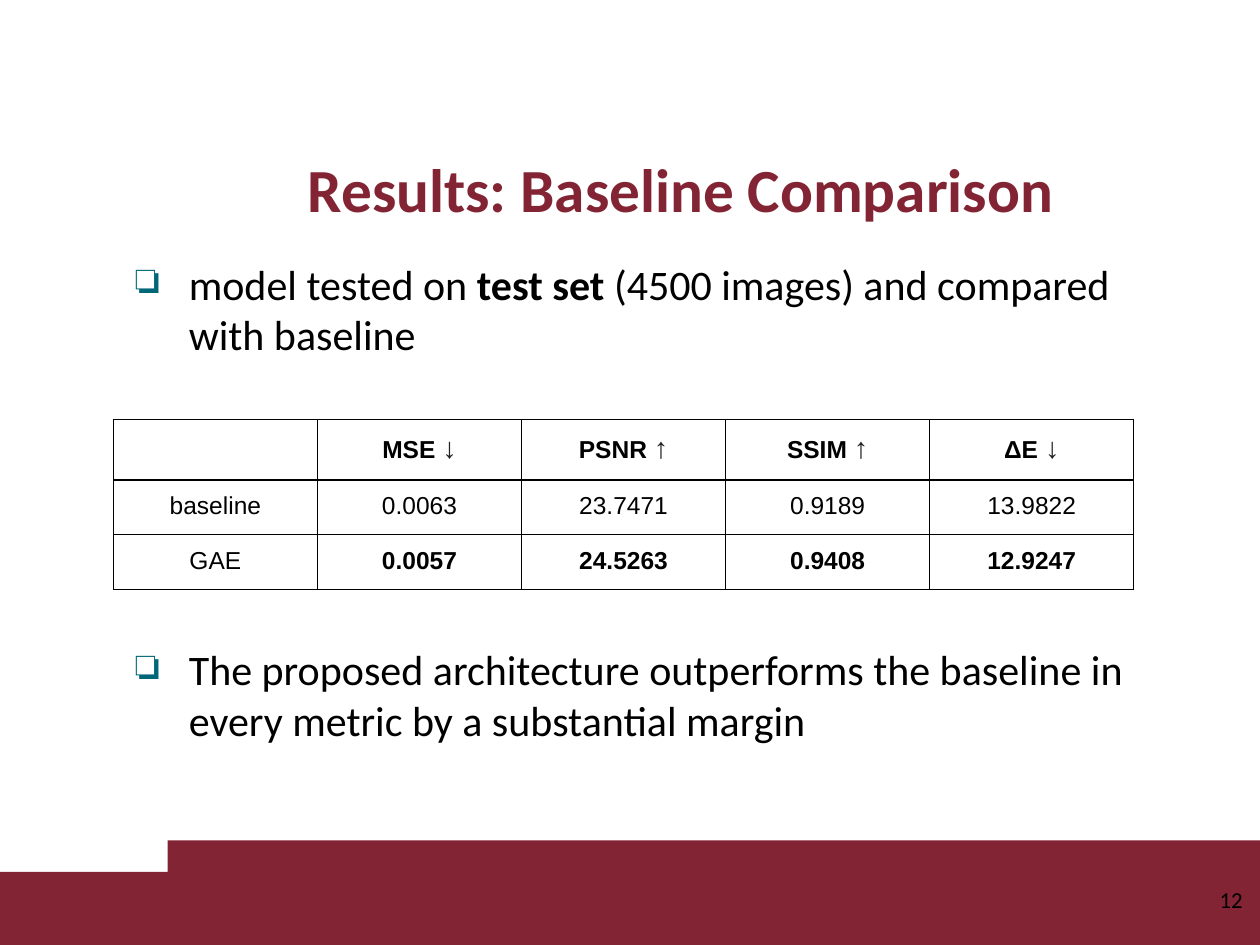
from dataclasses import dataclass

from lxml import etree
from pptx import Presentation
from pptx.dml.color import RGBColor
from pptx.enum.shapes import MSO_SHAPE
from pptx.enum.text import MSO_ANCHOR, PP_ALIGN
from pptx.oxml.ns import qn
from pptx.util import Inches, Pt

RECT = MSO_SHAPE.RECTANGLE
TOP = MSO_ANCHOR.TOP
LEFT, CENTER, RIGHT = PP_ALIGN.LEFT, PP_ALIGN.CENTER, PP_ALIGN.RIGHT


@dataclass(frozen=True)
class Theme:
    maroon: str = "822433"
    teal: str = "006778"
    black: str = "000000"
    arrow: str = "222222"
    white: str = "FFFFFF"
    body_font: str = "Calibri"
    table_font: str = "Arial"
    title_size: float = 35
    body_size: float = 24
    number_size: float = 13
    cell_size: float = 14
    arrow_size: float = 16.5
    border: float = 0.75


T = Theme()
BODY = dict(name=T.body_font, size=T.body_size, color=T.black, bold=False)
TITLE = BODY | dict(size=T.title_size, color=T.maroon, bold=True)
NUMBER = BODY | dict(size=T.number_size)
CELL = BODY | dict(name=T.table_font, size=T.cell_size)
ARROW = CELL | dict(size=T.arrow_size, color=T.arrow)

METRICS = [("MSE", "↓"), ("PSNR", "↑"), ("SSIM", "↑"), ("ΔE", "↓")]
RESULTS = [
    ("baseline", ["0.0063", "23.7471", "0.9189", "13.9822"], False),
    ("GAE", ["0.0057", "24.5263", "0.9408", "12.9247"], True),
]


def add_runs(p, runs):
    for text, fmt in runs:
        r = p.add_run()
        r.text = text
        for key, value in fmt.items():
            if key == "color":
                r.font.color.rgb = RGBColor.from_string(value)
            else:
                setattr(r.font, key, Pt(value) if key == "size" else value)


def add_bullet(p):
    pPr = p._p.get_or_add_pPr()
    pPr.set("marL", str(Inches(0.5)))
    pPr.set("indent", str(Inches(-0.42)))
    color = etree.SubElement(pPr, qn("a:buClr"))
    etree.SubElement(color, qn("a:srgbClr"), val=T.teal)
    etree.SubElement(pPr, qn("a:buChar"), char="❏")


def add_text(s, box, runs, align=LEFT, bullet=False, inset_y=0.1):
    sp = s.shapes.add_textbox(*map(Inches, box))
    tf = sp.text_frame
    frame = dict(word_wrap=True, vertical_anchor=TOP,
                 margin_left=Inches(0.1), margin_right=Inches(0.1),
                 margin_top=Inches(inset_y), margin_bottom=Inches(inset_y))
    for key, value in frame.items():
        setattr(tf, key, value)
    p = tf.paragraphs[0]
    if bullet:
        add_bullet(p)
    p.alignment = align
    add_runs(p, runs)
    return sp


def add_band(s, box):
    sp = s.shapes.add_shape(RECT, *map(Inches, box))
    sp.shadow.inherit = False
    sp.fill.solid()
    sp.fill.fore_color.rgb = RGBColor.from_string(T.maroon)
    sp.line.fill.background()


def add_borders(cell):
    tcPr = cell._tc.get_or_add_tcPr()
    for i, side in enumerate(("lnL", "lnR", "lnT", "lnB")):
        ln = etree.Element(qn(f"a:{side}"), w=str(Pt(T.border)))
        fill = etree.SubElement(ln, qn("a:solidFill"))
        etree.SubElement(fill, qn("a:srgbClr"), val=T.black)
        tcPr.insert(i, ln)


def format_cell(cell, runs):
    cell.fill.background()
    add_borders(cell)
    if runs:
        for side in ("left", "right", "top", "bottom"):
            setattr(cell, f"margin_{side}", Inches(0.1))
        p = cell.text_frame.paragraphs[0]
        p.alignment = CENTER
        add_runs(p, runs)


def add_results_table(s, left, top, col_width, row_heights):
    header = [[]] + [[(f"{name} ", CELL | dict(bold=True)), (arrow, ARROW)]
                     for name, arrow in METRICS]
    rows = [header] + [
        [[(label, CELL)]] + [[(v, CELL | dict(bold=best))] for v in values]
        for label, values, best in RESULTS]
    n_cols = len(header)
    size = (col_width * n_cols, sum(row_heights))
    table = s.shapes.add_table(len(rows), n_cols,
                               *map(Inches, (left, top, *size))).table
    table.first_row = table.horz_banding = False
    for col in table.columns:
        col.width = Inches(col_width)
    for i, (row, height) in enumerate(zip(rows, row_heights)):
        table.rows[i].height = Inches(height)
        for j, runs in enumerate(row):
            format_cell(table.cell(i, j), runs)


def main():
    prs = Presentation()
    prs.slide_width, prs.slide_height = Inches(10), Inches(7.5)
    s = prs.slides.add_slide(prs.slide_layouts[6])

    add_band(s, (0, 6.92, 10, 0.58))
    add_band(s, (1.33, 6.67, 8.67, 0.83))
    add_text(s, (1.35, 1.15, 8.11, 0.55),
             [("Results: Baseline Comparison", TITLE)], CENTER, inset_y=0.05)
    add_results_table(s, 0.9, 3.33, 1.62, (0.48, 0.42, 0.41))

    tested = add_text(s, (0.9, 1.95, 8.11, 1.01), [
        ("model tested on ", BODY),
        ("test set", BODY | dict(bold=True)),
        (" (4500 images) and compared with baseline", BODY)], bullet=True)
    tested.fill.solid()
    tested.fill.fore_color.rgb = RGBColor.from_string(T.white)

    add_text(s, (9.36, 6.93, 0.6, 0.57), [("12", NUMBER)], RIGHT)
    add_text(s, (0.9, 5.01, 8.18, 1.12), [
        ("The proposed architecture outperforms the baseline in every metric "
         "by a substantial margin", BODY)], bullet=True)
    prs.save("out.pptx")


if __name__ == "__main__":
    main()
